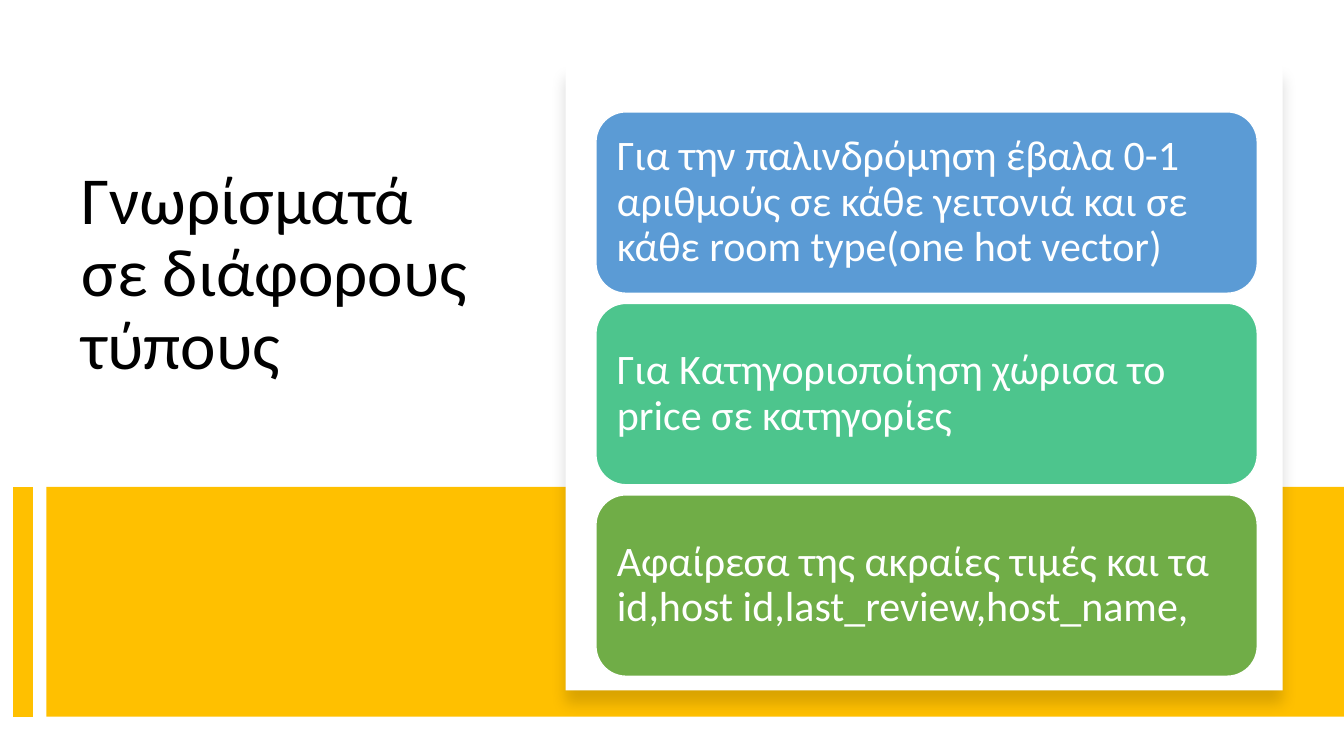
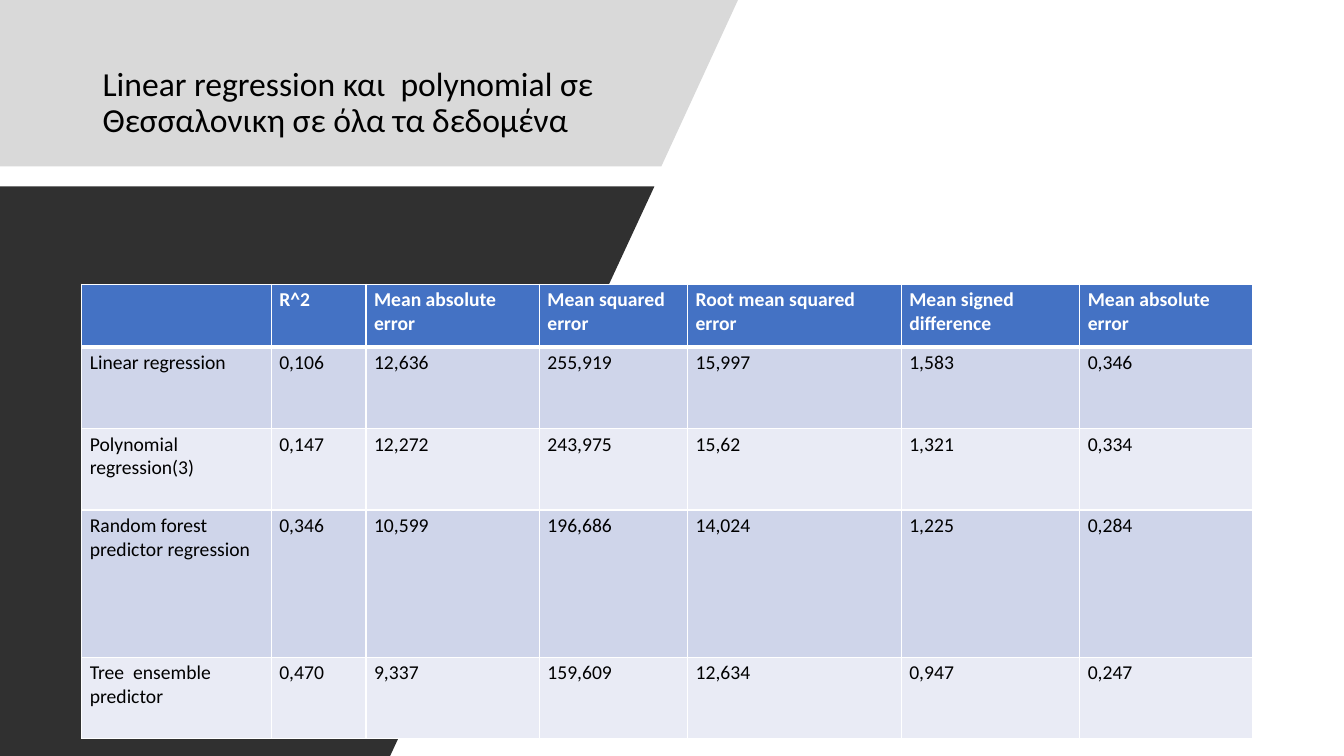
from lxml.etree import SubElement
from pptx import Presentation
from pptx.dml.color import RGBColor
from pptx.enum.shapes import MSO_CONNECTOR, MSO_SHAPE
from pptx.enum.text import MSO_ANCHOR, PP_ALIGN
from pptx.oxml.ns import qn
from pptx.util import Inches, Pt

FONT = "Calibri"
BLACK = RGBColor(0x00, 0x00, 0x00)
WHITE = RGBColor(0xFF, 0xFF, 0xFF)
YELLOW = RGBColor(0xFF, 0xC0, 0x00)
BLUE = RGBColor(0x5B, 0x9B, 0xD5)
MINT = RGBColor(0x4D, 0xC5, 0x8D)
GREEN = RGBColor(0x70, 0xAD, 0x47)
LIGHT_GREY = RGBColor(0xD9, 0xD9, 0xD9)
CHARCOAL = RGBColor(0x30, 0x30, 0x30)
HEADER = RGBColor(0x44, 0x72, 0xC4)
BANDS = (RGBColor(0xCF, 0xD5, 0xEA), RGBColor(0xE9, 0xEB, 0xF5))


class Deck:
    """Style and current slide; lengths are percentages of the slide's size."""

    def __init__(self):
        self.prs = Presentation()
        self.prs.slide_width = Inches(13.33)
        self.prs.slide_height = Inches(7.5)
        self.s = None

    def new_slide(self):
        self.s = self.prs.slides.add_slide(self.prs.slide_layouts[6])

    def x(self, share):
        return round(self.prs.slide_width * share / 100)

    def y(self, share):
        return round(self.prs.slide_height * share / 100)

    def box(self, left, top, width, height):
        return self.x(left), self.y(top), self.x(width), self.y(height)

    def set_text(self, tf, text, size, color, bold=False, spacing=None):
        tf.text = text
        tf.word_wrap = True
        for p in tf.paragraphs:
            p.alignment = PP_ALIGN.LEFT
            p.line_spacing = spacing
            for r in p.runs:
                r.font.name = FONT
                r.font.size = Pt(size)
                r.font.bold = bold
                r.font.color.rgb = color

    def title(self, text, box, size, anchor):
        tf = self.s.shapes.add_textbox(*self.box(*box)).text_frame
        tf.vertical_anchor = anchor
        self.set_text(tf, text, size, BLACK, spacing=0.9)

    def paint(self, sp, fill):
        sp.shadow.inherit = False
        sp.fill.solid()
        sp.fill.fore_color.rgb = fill
        sp.line.fill.background()

    def shape(self, kind, box, fill):
        sp = self.s.shapes.add_shape(kind, *self.box(*box))
        self.paint(sp, fill)
        return sp

    def card(self, text, box, fill):
        sp = self.shape(MSO_SHAPE.ROUNDED_RECTANGLE, box, fill)
        sp.line.color.rgb = WHITE
        sp.line.width = Pt(1)
        tf = sp.text_frame
        tf.margin_left = tf.margin_right = Inches(0.12)
        tf.margin_top = tf.margin_bottom = Inches(0.12)
        tf.vertical_anchor = MSO_ANCHOR.MIDDLE
        self.set_text(tf, text, 30, WHITE, spacing=0.9)

    def panel(self, box):
        """White rectangle with a soft shadow below it."""
        sp = self.shape(MSO_SHAPE.RECTANGLE, box, WHITE)
        effects = sp._element.spPr.find(qn("a:effectLst"))
        shadow = SubElement(effects, qn("a:outerShdw"), blurRad=str(Pt(11)),
                            dist=str(Pt(10)), dir="5400000", rotWithShape="0")
        color = SubElement(shadow, qn("a:srgbClr"), val=str(BLACK))
        SubElement(color, qn("a:alpha"), val="15000")

    def line(self, x1, y1, x2, y2, color, width):
        cn = self.s.shapes.add_connector(
            MSO_CONNECTOR.STRAIGHT, self.x(x1), self.y(y1), self.x(x2), self.y(y2))
        cn.line.color.rgb = color
        cn.line.width = Pt(width)
        SubElement(cn._element.spPr, qn("a:effectLst"))

    def polygon(self, points, fill):
        start, *rest = [(self.x(x), self.y(y)) for x, y in points]
        builder = self.s.shapes.build_freeform(*start)
        builder.add_line_segments(rest, close=True)
        self.paint(builder.convert_to_shape(), fill)

    def cell_borders(self, cell, top, bottom):
        tc_pr = cell._tc.get_or_add_tcPr()
        for side, width in (("L", 1), ("R", 1), ("T", top), ("B", bottom)):
            ln = SubElement(tc_pr, qn(f"a:ln{side}"), w=str(Pt(width)))
            fill = SubElement(ln, qn("a:solidFill"))
            SubElement(fill, qn("a:srgbClr"), val=str(WHITE))

    def table(self, left, top, widths, heights, rows):
        box = self.box(left, top, sum(widths), sum(heights))
        table = self.s.shapes.add_table(len(rows), len(widths), *box).table
        for column, width in zip(table.columns, widths):
            column.width = self.x(width)
        for i, (height, texts) in enumerate(zip(heights, rows)):
            table.rows[i].height = self.y(height)
            is_header = i == 0
            for cell, text in zip(table.rows[i].cells, texts):
                self.cell_borders(cell, 3 if i == 1 else 1, 3 if is_header else 1)
                cell.fill.solid()
                cell.fill.fore_color.rgb = HEADER if is_header else BANDS[(i - 1) % 2]
                cell.margin_left = cell.margin_right = Inches(0.08)
                cell.margin_top = cell.margin_bottom = Inches(0.04)
                self.set_text(cell.text_frame, text, 14,
                              WHITE if is_header else BLACK, bold=is_header)


CARDS = (
    ("Για την παλινδρόμηση έβαλα 0-1 αριθμούς σε κάθε γειτονιά και σε κάθε "
     "room type(one hot vector)", BLUE),
    ("Για Κατηγοριοποίηση χώρισα το price σε κατηγορίες", MINT),
    ("Αφαίρεσα της ακραίες τιμές και τα id,host id,last_review,host_name,", GREEN),
)

RESULTS = (
    ("", "R^2", "Mean absolute error", "Mean squared error",
     "Root mean squared error", "Mean signed\ndifference", "Mean absolute error"),
    ("Linear regression", "0,106", "12,636", "255,919", "15,997", "1,583", "0,346"),
    ("Polynomial regression(3)", "0,147", "12,272", "243,975", "15,62", "1,321", "0,334"),
    ("Random forest predictor regression", "0,346", "10,599", "196,686", "14,024",
     "1,225", "0,284"),
    ("Tree  ensemble predictor", "0,470", "9,337", "159,609", "12,634", "0,947", "0,247"),
)


def features_slide(deck):
    deck.new_slide()
    deck.title("Γνωρίσματά σε διάφορους τύπους", (5.33, 21.33, 31.13, 39.2),
               48, MSO_ANCHOR.TOP)
    band_top, band_height = 64.4, 30.4
    deck.shape(MSO_SHAPE.RECTANGLE, (3.45, band_top, 96.55, band_height), YELLOW)
    deck.line(1.73, band_top, 1.73, band_top + band_height, YELLOW, 14)
    deck.panel((42.09, 8.53, 53.34, 82.8))
    height, gap = 24, 1.33
    for i, (text, fill) in enumerate(CARDS):
        deck.card(text, (44.34, 14.8 + i * (height + gap), 49.21, height), fill)


def results_slide(deck):
    deck.new_slide()
    deck.polygon([(0, 0), (54.91, 0), (49.21, 22), (0, 22)], LIGHT_GREY)
    deck.title("Linear regression και  polynomial σε Θεσσαλονικη σε όλα τα δεδομένα",
               (6.9, 5.33, 41.03, 16.67), 24, MSO_ANCHOR.MIDDLE)
    deck.polygon([(0, 24.67), (48.69, 24.67), (29.03, 100), (0, 100)], CHARCOAL)
    deck.table(6.08, 37.6, (14.1, 7.05, 12.9, 11.03, 15.9, 13.28, 12.9),
               (8.27, 10.8, 10.8, 19.47, 10.8), RESULTS)


def main():
    deck = Deck()
    features_slide(deck)
    results_slide(deck)
    deck.prs.save("out.pptx")


if __name__ == "__main__":
    main()
